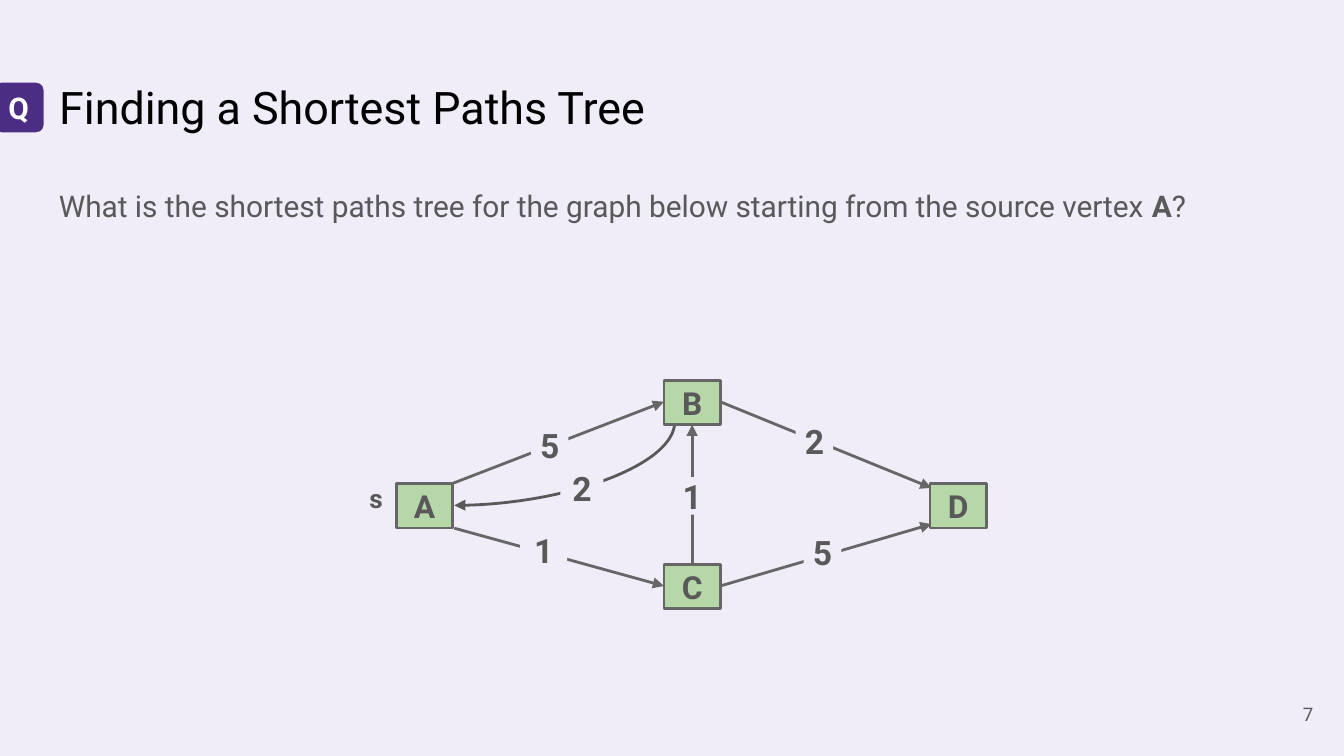
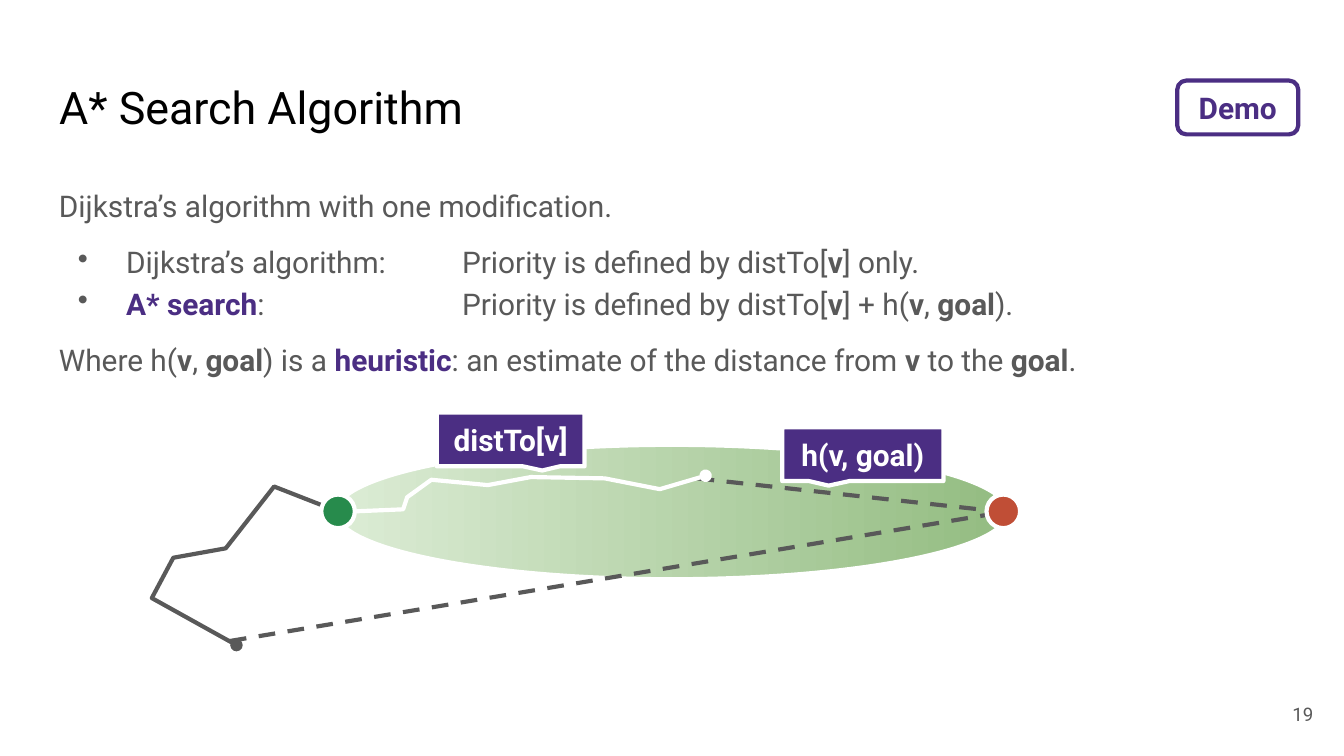
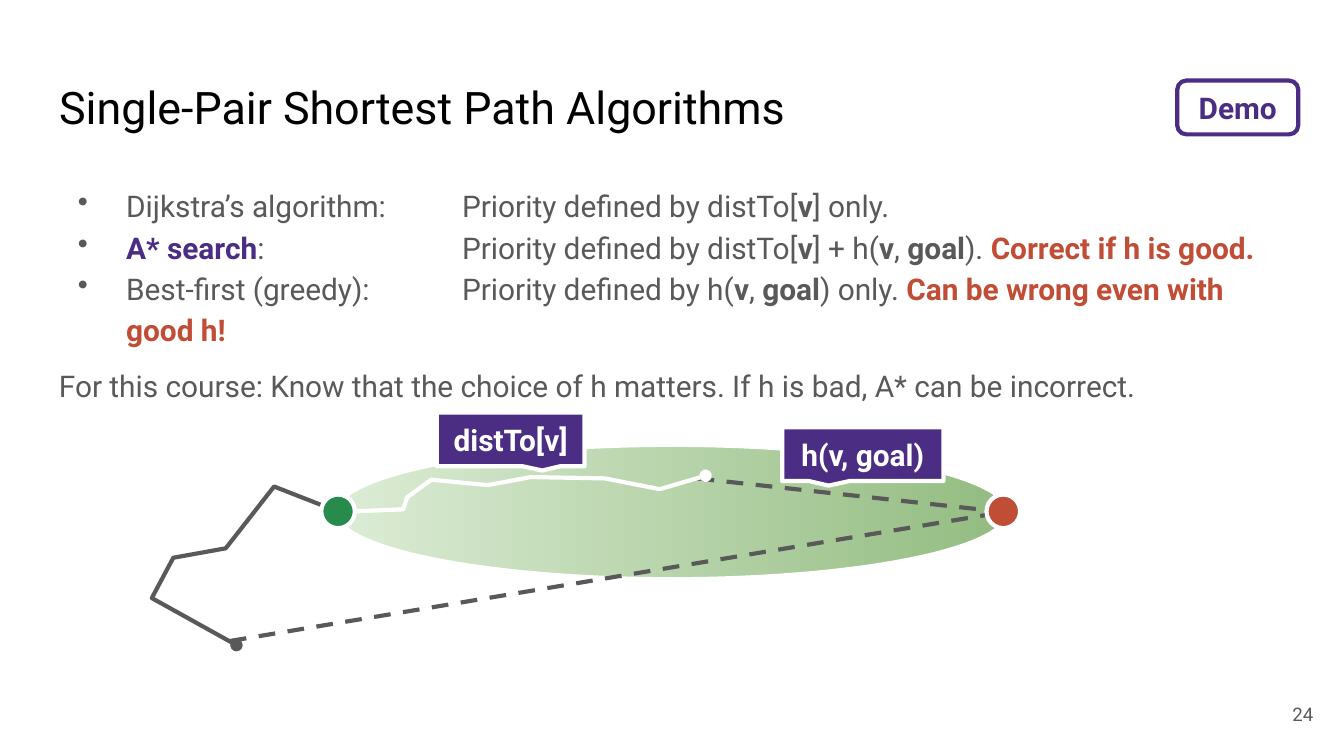
from pptx import Presentation
from pptx.dml.color import RGBColor
from pptx.enum import dml, shapes, text
from pptx.oxml.ns import qn
from pptx.util import Inches, Pt
from lxml import etree

# Shared style
FONT = "Roboto"
BLACK = RGBColor(0x00, 0x00, 0x00)
WHITE = RGBColor(0xFF, 0xFF, 0xFF)
GRAY = RGBColor(0x59, 0x59, 0x59)
EDGE = RGBColor(0x66, 0x66, 0x66)
LILAC = RGBColor(0xF0, 0xEC, 0xF8)
PURPLE = RGBColor(0x4B, 0x2E, 0x83)
LEAF = RGBColor(0xB6, 0xD7, 0xA8)
PALE = RGBColor(0xDC, 0xEC, 0xD5)
MOSS = RGBColor(0x93, 0xBC, 0x81)
GREEN = RGBColor(0x27, 0x8B, 0x4C)
RED = RGBColor(0xC0, 0x4E, 0x36)
THICK = 2.25
THIN = 1.5
SHAPE = shapes.MSO_SHAPE
LEFT, MID, RIGHT = text.PP_ALIGN.LEFT, text.PP_ALIGN.CENTER, text.PP_ALIGN.RIGHT
TOP, CENTER = text.MSO_ANCHOR.TOP, text.MSO_ANCHOR.MIDDLE

# Bold runs used in the formulas
V = ("v", GRAY)
GOAL = ("goal", GRAY)


class Deck:
    def __init__(self):
        self.prs = Presentation()
        self.prs.slide_width = Inches(10)
        self.prs.slide_height = Inches(10) * 9 // 16
        self.slide = None

    def page(self, title, number, back=WHITE):
        """Start a slide with its title and page number."""
        self.slide = self.prs.slides.add_slide(self.prs.slide_layouts[5])
        fill = self.slide.background.fill
        fill.solid()
        fill.fore_color.rgb = back
        head = self.slide.shapes.title
        head.left, head.top = Inches(0.34), Inches(0.49)
        head.width, head.height = Inches(9.32), Inches(0.63)
        self.frame(head, TOP)
        self.fill_in(head.text_frame.paragraphs[0], [title], 24, BLACK, LEFT)
        self.label(number, 9.27, 5.1, 0.6, 0.43, 10, RIGHT, CENTER)

    def frame(self, item, anchor, side=0.1):
        box = item.text_frame
        box.auto_size = text.MSO_AUTO_SIZE.NONE
        box.word_wrap = True
        box.vertical_anchor = anchor
        box.margin_left = box.margin_right = Inches(side)
        box.margin_top = box.margin_bottom = Inches(0.1)
        return box

    def fill_in(self, para, parts, size, color=GRAY, align=LEFT):
        """Add runs: a string is plain, a (text, colour) pair is bold."""
        para.alignment = align
        for part in parts:
            bold = isinstance(part, tuple)
            words, tint = part if bold else (part, color)
            run = para.add_run()
            run.text = words
            font = run.font
            font.name, font.size, font.bold = FONT, Pt(size), bold
            font.color.rgb = tint

    def label(self, part, x, y, w, h, size, align=LEFT, anchor=TOP):
        item = self.slide.shapes.add_textbox(Inches(x), Inches(y), Inches(w), Inches(h))
        box = self.frame(item, anchor)
        self.fill_in(box.paragraphs[0], [part], size, align=align)

    def body(self, rows, height):
        """Add the main text; a row is (runs, bullet, before, after)."""
        item = self.slide.shapes.add_textbox(
            Inches(0.34), Inches(1.26), Inches(9.32), Inches(height))
        box = self.frame(item, TOP)
        for i, (parts, bullet, before, after) in enumerate(rows):
            para = box.add_paragraph() if i else box.paragraphs[0]
            para.line_spacing = 1.15
            para.space_before, para.space_after = Pt(before), Pt(after)
            self.fill_in(para, parts, 16)
            if bullet:
                self.dot(para)

    def dot(self, para):
        props = para._p.get_or_add_pPr()
        props.set("marL", str(Inches(0.5)))
        props.set("indent", str(Inches(-0.36)))
        props.set("defTabSz", str(Inches(1)))
        color = etree.SubElement(props, qn("a:buClr"))
        etree.SubElement(color, qn("a:srgbClr")).set("val", str(GRAY))
        etree.SubElement(props, qn("a:buChar")).set("char", "•")

    def shape(self, kind, x, y, w, h, fill, line=None, width=THICK, adj=()):
        item = self.slide.shapes.add_shape(
            kind, Inches(x), Inches(y), Inches(w), Inches(h))
        item.shadow.inherit = False
        item.fill.solid()
        item.fill.fore_color.rgb = fill
        if line is None:
            item.line.fill.background()
        else:
            self.pen(item, line, width)
        for i, value in enumerate(adj):
            item.adjustments[i] = value
        return item

    def tag(self, item, words, size, color=GRAY, side=0.1):
        """Put bold centred text in a shape."""
        box = self.frame(item, CENTER, side)
        self.fill_in(box.paragraphs[0], [(words, color)], size, align=MID)

    def pen(self, item, color, width, end=None):
        item.line.color.rgb = color
        item.line.width = Pt(width)
        if end:
            stroke = item._element.spPr.find(qn("a:ln"))
            etree.SubElement(stroke, qn("a:tailEnd")).set("type", end)

    def line(self, start, stop, color, width, end=None, dash=False):
        item = self.slide.shapes.add_connector(
            shapes.MSO_CONNECTOR.STRAIGHT, *map(Inches, start + stop))
        if dash:
            item.line.dash_style = dml.MSO_LINE.DASH
        self.pen(item, color, width, end)
        etree.SubElement(item._element.spPr, qn("a:effectLst"))
        return item

    def curve(self, start, stop, color, width, end):
        """Add a quarter bend that leaves downwards and arrives leftwards."""
        (x1, y1), (x2, y2) = start, stop
        cx, cy = (x1 + x2) / 2, (y1 + y2) / 2
        dx, dy = (y2 - y1) / 2, (x1 - x2) / 2
        item = self.line((cx - dx, cy - dy), (cx + dx, cy + dy), color, width, end)
        props = item._element.spPr
        props.find(qn("a:xfrm")).set("rot", str(90 * 60000))
        props.find(qn("a:prstGeom")).set("prst", "curvedConnector2")

    def route(self, points, color):
        """Add an open polyline that ends in a dot."""
        first, *rest = [(Inches(x), Inches(y)) for x, y in points]
        maker = self.slide.shapes.build_freeform(*first)
        maker.add_line_segments(rest, close=False)
        item = maker.convert_to_shape()
        item.shadow.inherit = False
        item.fill.background()
        self.pen(item, color, THICK, "oval")

    def badge(self, words, x, w, fill, line, color):
        item = self.shape(SHAPE.ROUNDED_RECTANGLE, x, 0.6, w, 0.4, fill, line, adj=[0.167])
        self.tag(item, words, 16, color)

    def node(self, name, x, y):
        item = self.shape(SHAPE.RECTANGLE, x, y, 0.42, 0.33, LEAF, EDGE, THIN)
        self.tag(item, name, 17)

    def cost(self, value, x, y, w=0.28):
        item = self.shape(SHAPE.RECTANGLE, x, y, w, 0.28, LILAC)
        self.tag(item, value, 18, side=0)

    def callout(self, words, x, y, w, adj):
        item = self.shape(SHAPE.ROUNDED_RECTANGULAR_CALLOUT, x, y, w, 0.4,
                          PURPLE, WHITE, adj=adj)
        self.tag(item, words, 16, WHITE)

    def search(self):
        """Draw the search area between the start and the goal."""
        area = self.shape(SHAPE.OVAL, 4.5, 1.31, 1, 5, PALE, WHITE)
        area.rotation = 270
        area.fill.gradient()
        area.fill.gradient_angle = 270
        for stop, color in zip(area.fill.gradient_stops, (PALE, MOSS)):
            stop.color.rgb = color

        # Known routes and estimates
        goal = (7.47, 3.81)
        self.line((5.19, 3.56), goal, GRAY, THICK, dash=True)
        self.route([(2.52, 3.81), (3, 3.79), (3.03, 3.7), (3.21, 3.57), (3.63, 3.61),
                    (3.95, 3.55), (4.5, 3.56), (4.91, 3.64), (5.25, 3.54)], WHITE)
        self.line((1.71, 4.77), goal, GRAY, THICK, dash=True)
        self.route([(2.5, 3.8), (2.04, 3.62), (1.68, 4.08), (1.29, 4.15),
                    (1.13, 4.45), (1.76, 4.8)], GRAY)

        # End points and callouts
        for x, color in ((2.39, GREEN), (7.34, RED)):
            self.shape(SHAPE.OVAL, x, 3.68, 0.25, 0.25, color, WHITE)
        self.callout("distTo[v]", 3.25, 3.07, 1.1, (0.213, 0.578, 0))
        self.callout("h(v, goal)", 5.82, 3.18, 1.2, (-0.212, 0.585, 0))
        self.badge("Demo", 8.76, 0.9, WHITE, PURPLE, PURPLE)


def tree(deck):
    deck.page("Finding a Shortest Paths Tree", "7", LILAC)
    deck.body([(["What is the shortest paths tree for the graph below starting "
                 "from the source vertex ", ("A", GRAY), "?"], False, 0, 8)], 0.45)
    deck.badge("Q", -0.06, 0.4, PURPLE, LILAC, WHITE)

    # Edges
    deck.curve((5.02, 3.14), (3.38, 3.76), GRAY, THIN, "triangle")
    for start, stop in (((3.36, 3.6), (4.94, 2.99)), ((3.38, 3.93), (4.94, 4.36)),
                        ((5.36, 4.36), (6.93, 3.9)), ((5.15, 4.2), (5.15, 3.16)),
                        ((5.36, 2.99), (6.93, 3.63))):
        deck.line(start, stop, EDGE, THIN, "triangle")

    # Vertices
    for name, x, y in (("B", 4.94, 2.83), ("C", 4.94, 4.2),
                       ("A", 2.95, 3.6), ("D", 6.92, 3.6)):
        deck.node(name, x, y)
    deck.label(("s", GRAY), 2.65, 3.49, 0.35, 0.36, 14)

    # Weights
    for spot in (("5", 3.95, 3.17), ("5", 5.98, 3.97), ("1", 5.01, 3.55),
                 ("2", 4.17, 3.49, 0.32), ("2", 5.92, 3.14), ("1", 3.87, 3.95, 0.35)):
        deck.cost(*spot)


def star(deck):
    deck.page("A* Search Algorithm", "19")
    deck.body([
        (["Dijkstra’s algorithm with one modification."], False, 0, 0),
        (["Dijkstra’s algorithm:\tPriority is defined by distTo[", V, "] only."],
         True, 8, 0),
        ([("A* search", PURPLE), ":\t\tPriority is defined by distTo[", V, "] + h(",
          V, ", ", GOAL, ")."], True, 0, 0),
        (["Where h(", V, ", ", GOAL, ") is a ", ("heuristic", PURPLE),
          ": an estimate of the distance from ", V, " to the ", GOAL, "."],
         False, 8, 8),
    ], 1.6)
    deck.search()


def pair(deck):
    deck.page("Single-Pair Shortest Path Algorithms", "24")
    deck.body([
        (["Dijkstra’s algorithm:\tPriority defined by distTo[", V, "] only."],
         True, 0, 0),
        ([("A* search", PURPLE), ":\t\tPriority defined by distTo[", V, "] + h(",
          V, ", ", GOAL, "). ", ("Correct if h is good.", RED)], True, 0, 0),
        (["Best-first (greedy):\tPriority defined by h(", V, ", ", GOAL, ") only. ",
          ("Can be wrong even with good h!", RED)], True, 0, 0),
        (["For this course: Know that the choice of h matters. "
          "If h is bad, A* can be incorrect."], False, 8, 8),
    ], 1.6)
    deck.search()


def main():
    deck = Deck()
    for build in (tree, star, pair):
        build(deck)
    deck.prs.save("out.pptx")


if __name__ == "__main__":
    main()
